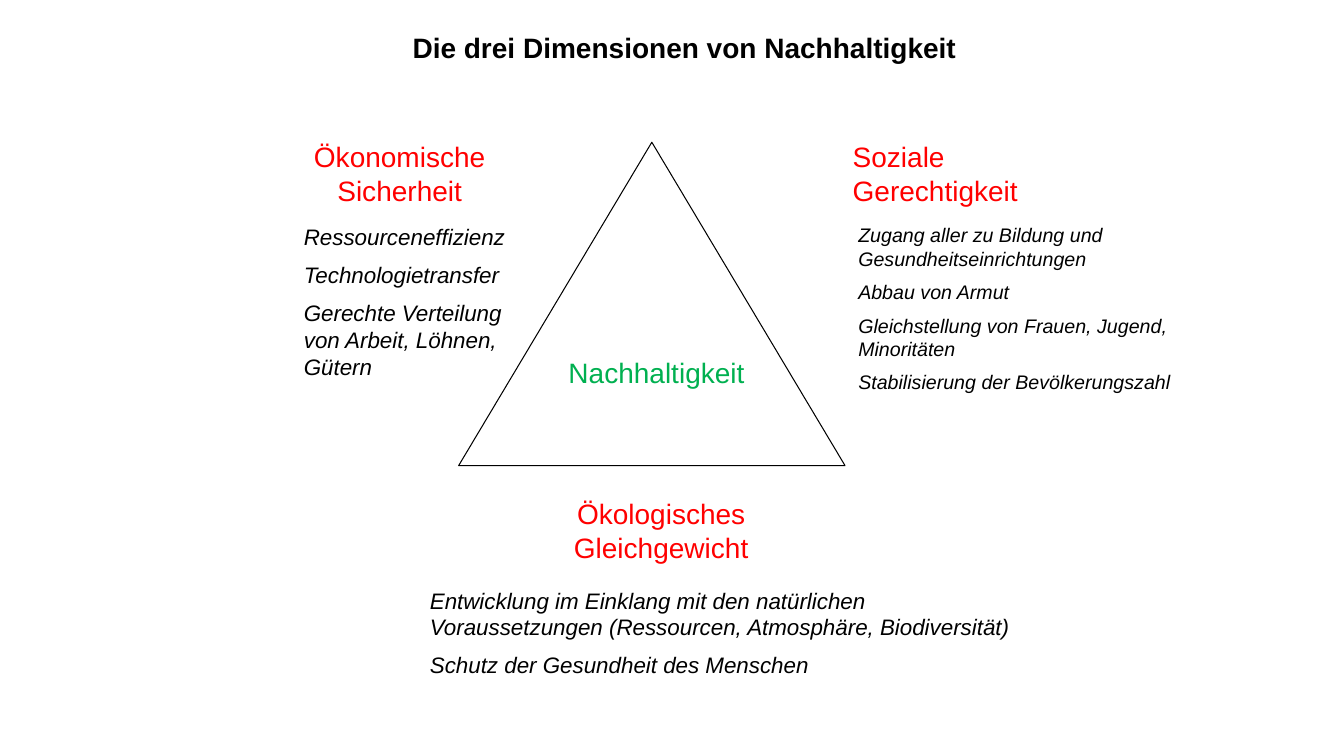
"""Build the slide on the three dimensions of sustainability."""
import pptx
import pptx.util
import pptx.dml.color
import pptx.enum.shapes
import pptx.enum.text

Pt = pptx.util.Pt
BLACK = pptx.dml.color.RGBColor(0x00, 0x00, 0x00)
WHITE = pptx.dml.color.RGBColor(0xFF, 0xFF, 0xFF)
RED = pptx.dml.color.RGBColor(0xFF, 0x00, 0x00)
GREEN = pptx.dml.color.RGBColor(0x00, 0xB0, 0x50)
LEFT = pptx.enum.text.PP_ALIGN.LEFT
CENTER = pptx.enum.text.PP_ALIGN.CENTER
SHAPES = pptx.enum.shapes.MSO_SHAPE

presentation = pptx.Presentation()
presentation.slide_width, presentation.slide_height = Pt(960), Pt(540)
slide = presentation.slides.add_slide(presentation.slide_layouts[6])


def add_white_shape(kind, place):
    shape = slide.shapes.add_shape(kind, *map(Pt, place))
    shape.shadow.inherit = False
    shape.fill.solid()
    shape.fill.fore_color.rgb = WHITE
    shape.line.fill.background()
    return shape


def write(frame, lines, color, align, formats):
    frame.word_wrap = True
    frame.vertical_anchor = pptx.enum.text.MSO_ANCHOR.TOP
    for number, line in enumerate(lines):
        paragraph = frame.paragraphs[0] if number == 0 else frame.add_paragraph()
        paragraph.text = line
        paragraph.alignment = align
        if number:
            paragraph.space_before = formats["size"] // 2
        paragraph.font.name = "Arial"
        paragraph.font.color.rgb = color
        for name, value in formats.items():
            setattr(paragraph.font, name, value)


triangle = add_white_shape(SHAPES.ISOSCELES_TRIANGLE, (327.6, 101.6, 276, 231))
triangle.line.color.rgb = BLACK
triangle.line.width = Pt(0.75)

headings = [
    ("Nachhaltigkeit", (390, 250.5, 158, 39), GREEN, CENTER),
    ("Ökonomische Sicherheit", (210, 96, 151, 73), RED, CENTER),
    ("Ökologisches Gleichgewicht", (381.6, 351, 181.4, 73), RED, CENTER),
    ("Soziale Gerechtigkeit", (602, 96, 166, 60), RED, LEFT),
]
for heading, place, color, align in headings:
    label = add_white_shape(SHAPES.RECTANGLE, place)
    write(label.text_frame, [heading], color, align, {"size": Pt(20)})

economic_goals = [
    "Ressourceneffizienz",
    "Technologietransfer",
    "Gerechte Verteilung von Arbeit, Löhnen, Gütern",
]
social_goals = [
    "Zugang aller zu Bildung und Gesundheitseinrichtungen",
    "Abbau von Armut",
    "Gleichstellung von Frauen, Jugend, Minoritäten",
    "Stabilisierung der Bevölkerungszahl",
]
ecological_goals = [
    "Entwicklung im Einklang mit den natürlichen Voraussetzungen "
    "(Ressourcen, Atmosphäre, Biodiversität)",
    "Schutz der Gesundheit des Menschen",
]
title = ["Die drei Dimensionen von Nachhaltigkeit"]
texts = [
    (economic_goals, (210, 156, 180, 122.4), LEFT, {"size": Pt(16), "italic": True}),
    (social_goals, (606, 156, 244, 134.6), LEFT, {"size": Pt(14), "italic": True}),
    (ecological_goals, (300, 415.5, 444, 75), LEFT, {"size": Pt(16), "italic": True}),
    (title, (198, 18, 582, 31.5), CENTER, {"size": Pt(20), "bold": True}),
]
for lines, place, align, formats in texts:
    frame = slide.shapes.add_textbox(*map(Pt, place)).text_frame
    write(frame, lines, BLACK, align, formats)
    frame.auto_size = pptx.enum.text.MSO_AUTO_SIZE.SHAPE_TO_FIT_TEXT

presentation.save("out.pptx")
